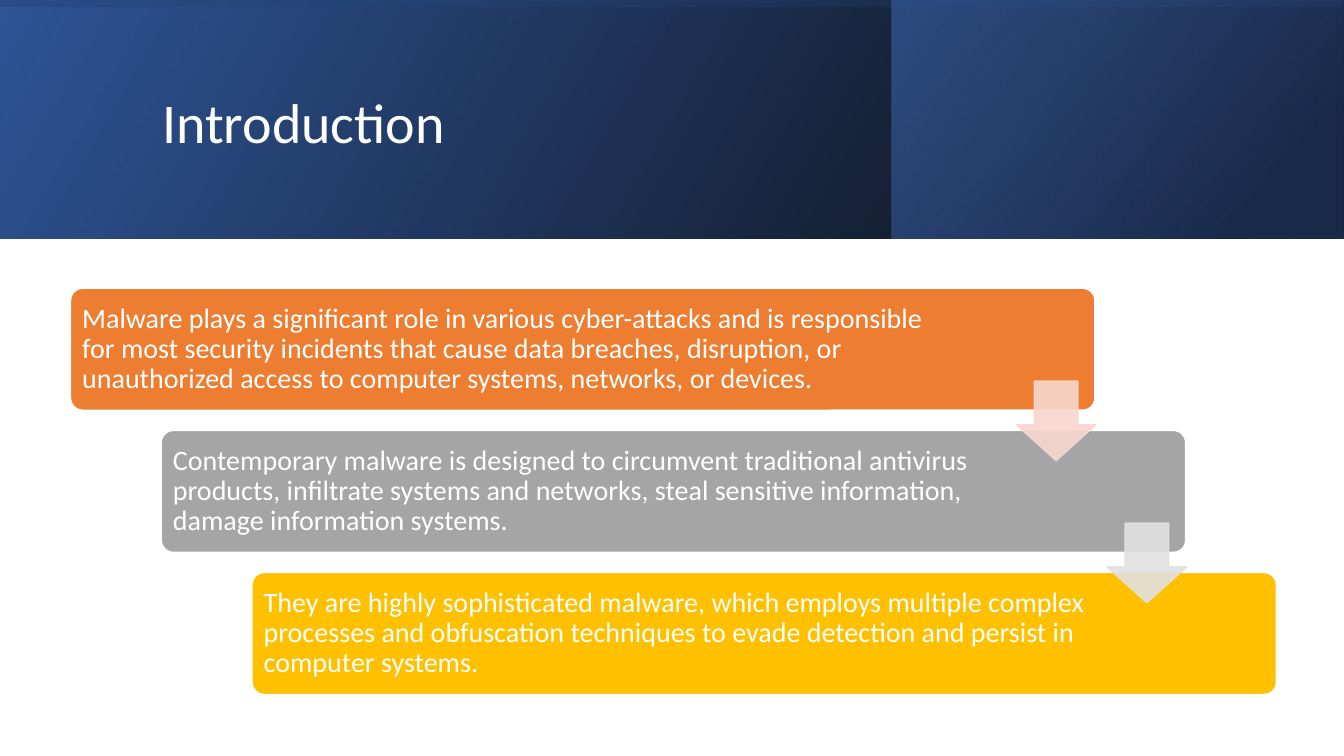
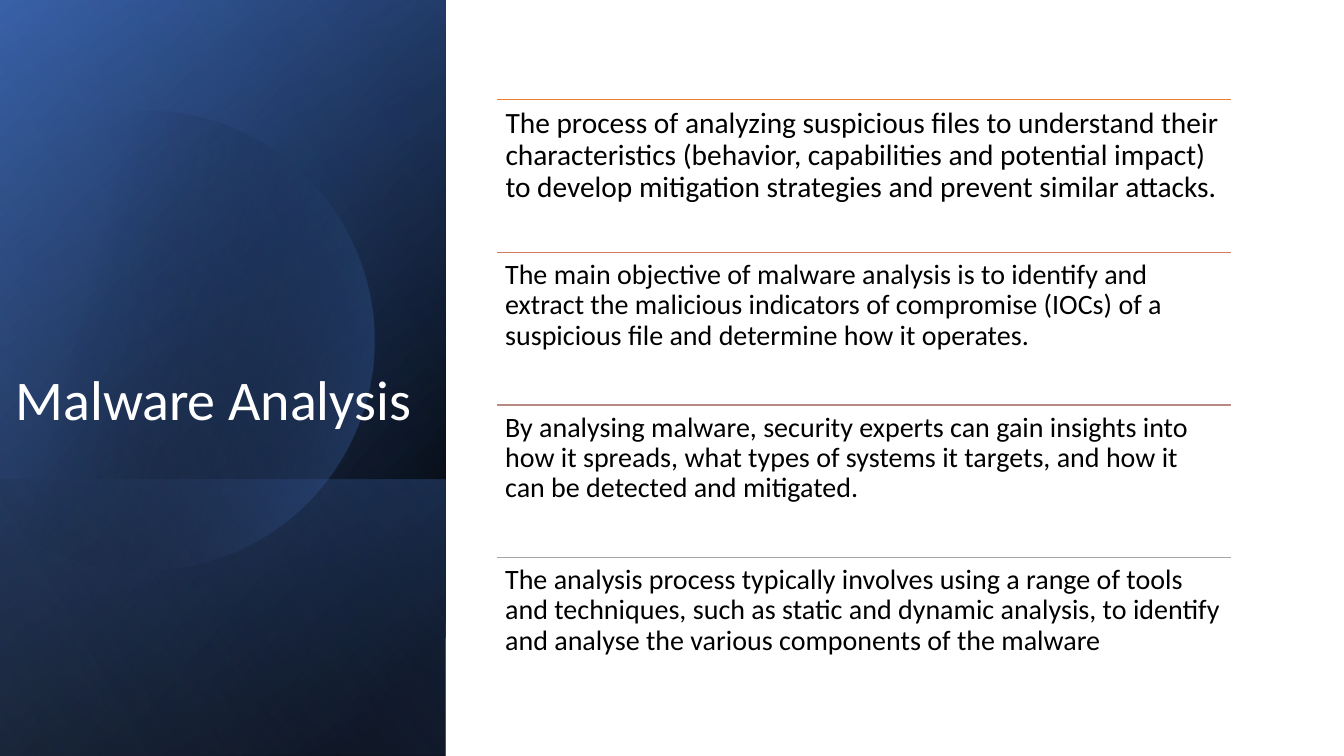
import math
import pptx
import pptx.util
import pptx.dml.color
import pptx.enum.shapes
import pptx.enum.text
import pptx.oxml
import pptx.oxml.ns

Inches = pptx.util.Inches
Pt = pptx.util.Pt
SHAPE = pptx.enum.shapes.MSO_SHAPE
ANCHOR = pptx.enum.text.MSO_ANCHOR
ALIGN = pptx.enum.text.PP_ALIGN
qn = pptx.oxml.ns.qn

FONT = "Calibri"
WHITE, BLACK = "FFFFFF", "000000"
BLUE, NAVY, DEEP, PALE = "4472C4", "2F5597", "203864", "8FAADC"
WIDE, HIGH = 13.33, 7.5
BAND = 2.37
SIDE = 4.42

# Fill, arrow colour, text
CARDS = [
    ("ED7D31", "F8D7CE",
     "Malware plays a significant role in various cyber-attacks and is "
     "responsible for most security incidents that cause data breaches, "
     "disruption, or unauthorized access to computer systems, networks, "
     "or devices."),
    ("A5A5A5", "E1E1E1",
     "Contemporary malware is designed to circumvent traditional antivirus "
     "products, infiltrate systems and networks, steal sensitive "
     "information, damage information systems."),
    ("FFC000", None,
     "They are highly sophisticated malware, which employs multiple complex "
     "processes and obfuscation techniques to evade detection and persist "
     "in computer systems."),
]

# Line colour, text size, text
POINTS = [
    ("ED7D31", 21,
     "The process of analyzing suspicious files to understand their "
     "characteristics (behavior, capabilities and potential impact) to "
     "develop mitigation strategies and prevent similar attacks."),
    ("D17B5C", 20,
     "The main objective of malware analysis is to identify and extract the "
     "malicious indicators of compromise (IOCs) of a suspicious file and "
     "determine how it operates."),
    ("B98A82", 20,
     "By analysing malware, security experts can gain insights into how it "
     "spreads, what types of systems it targets, and how it can be detected "
     "and mitigated."),
    ("A5A5A5", 20,
     "The analysis process typically involves using a range of tools and "
     "techniques, such as static and dynamic analysis, to identify and "
     "analyse the various components of the malware"),
]


def rgb(code):
    return pptx.dml.color.RGBColor.from_string(code)


def fade(shape, *alphas):
    """Set the opacity, in percent, of the shape's colours in order."""
    for tint, alpha in zip(shape.element.spPr.iter(qn("a:srgbClr")), alphas):
        node = pptx.oxml.parse_xml(
            f'<a:alpha {pptx.oxml.ns.nsdecls("a")} val="{alpha * 1000}"/>')
        tint.append(node)


def blend(shape, stops, angle):
    """Fill with (position, colour, opacity) stops at a clockwise angle."""
    shape.shadow.inherit = False
    shape.line.fill.background()
    shape.fill.gradient()
    shape.fill.gradient_angle = (360 - angle) % 360
    for stop, (place, code, _) in zip(shape.fill.gradient_stops, stops):
        stop.position = place / 100
        stop.color.rgb = rgb(code)
    fade(shape, *(alpha for _, _, alpha in stops))


def panel(slide, box, stops, angle, turn=0):
    """Draw a mirrored gradient rectangle that covers box after its turn."""
    left, top, width, height = box
    if turn:
        left += (width - height) / 2
        top += (height - width) / 2
        width, height = height, width
    shape = slide.shapes.add_shape(
        SHAPE.RECTANGLE, Inches(left), Inches(top),
        Inches(width), Inches(height))
    shape.rotation = turn
    shape.element.spPr.find(qn("a:xfrm")).set("flipH", "1")
    blend(shape, stops, angle)


def disc(slide):
    """Draw the circle that is cut off near the slide's left edge."""
    mid_x, mid_y, radius, edge = 1.43, 3.38, 2.28, -0.15
    reach = math.acos((edge - mid_x) / radius)
    count = 120
    turns = [reach * (2 * i / count - 1) for i in range(count + 1)]
    dots = [(Inches(mid_x + radius * math.cos(t)),
             Inches(mid_y + radius * math.sin(t))) for t in turns]
    form = slide.shapes.build_freeform(*dots[0])
    form.add_line_segments(dots[1:], close=True)
    blend(form.convert_to_shape(), [(29, BLACK, 0), (100, BLUE, 43)], 14)


def write(frame, text, size, code, pads, anchor=ANCHOR.TOP, align=ALIGN.LEFT):
    """Fill a text frame; pads are left, top, right and bottom insets."""
    frame.word_wrap = True
    frame.auto_size = pptx.enum.text.MSO_AUTO_SIZE.NONE
    frame.vertical_anchor = anchor
    (frame.margin_left, frame.margin_top,
     frame.margin_right, frame.margin_bottom) = map(Inches, pads)
    para = frame.paragraphs[0]
    para.alignment = align
    para.line_spacing = 0.9
    run = para.add_run()
    run.text = text
    run.font.name = FONT
    run.font.size = Pt(size)
    run.font.color.rgb = rgb(code)


def head(slide, text, box, **style):
    """Place the title in front of the panels."""
    title = slide.shapes.title
    title.left, title.top, title.width, title.height = map(Inches, box)
    write(title.text_frame, text, 40, WHITE, (0.1, 0.05, 0.19, 0.05), **style)
    title.element.getparent().append(title.element)


def block(slide, kind, box, code, edge, ratios):
    shape = slide.shapes.add_shape(kind, *map(Inches, box))
    shape.shadow.inherit = False
    for i, ratio in enumerate(ratios):
        shape.adjustments[i] = ratio
    shape.fill.solid()
    shape.fill.fore_color.rgb = rgb(code)
    shape.line.color.rgb = rgb(edge)
    shape.line.width = Pt(1)
    return shape


def rule(slide, left, right, top, code):
    line = slide.shapes.add_connector(
        pptx.enum.shapes.MSO_CONNECTOR.STRAIGHT,
        Inches(left), Inches(top), Inches(right), Inches(top))
    line.line.color.rgb = rgb(code)
    line.line.width = Pt(1)
    line.element.spPr.append(pptx.oxml.parse_xml(
        f'<a:effectLst {pptx.oxml.ns.nsdecls("a")}/>'))


def intro(slide):
    band = (0, 0, WIDE, BAND)
    panel(slide, band, [(0, BLACK, 96), (100, NAVY, 100)], 330)
    panel(slide, (8.84, 0, 4.48, BAND), [(19, DEEP, 68), (100, BLUE, 48)], 320)
    panel(slide, band, [(23, NAVY, 16), (99, BLACK, 45)], 350, 270)
    head(slide, "Introduction", (1.51, 0.38, 10.63, 1.72),
         anchor=ANCHOR.MIDDLE)
    step_x, step_y = 0.9, 1.41
    for i, (code, _, text) in enumerate(CARDS):
        box = (0.7 + i * step_x, 2.86 + i * step_y, 10.16, 1.21)
        card = block(slide, SHAPE.ROUNDED_RECTANGLE, box, code, WHITE, [0.1])
        write(card.text_frame, text, 20, WHITE, (0.08, 0.08, 1.6, 0.08),
              ANCHOR.MIDDLE)
    for i, (_, code, _) in enumerate(CARDS[:-1]):
        box = (10.08 + i * step_x, 3.78 + i * step_y, 0.79, 0.79)
        arrow = block(slide, SHAPE.DOWN_ARROW, box, code, code, [0.55, 0.45])
        fade(arrow, 90, 90)


def study(slide):
    side = (0, 0, SIDE, HIGH)
    panel(slide, side, [(8, BLACK, 100), (100, NAVY, 100)], 50, 90)
    panel(slide, side, [(0, BLACK, 0), (99, BLUE, 46)], 30, 90)
    panel(slide, (0, 4.76, SIDE, 2.74),
          [(2, BLUE, 29), (100, BLACK, 30)], 130, 90)
    disc(slide)
    panel(slide, side, [(0, BLACK, 0), (99, PALE, 11)], 120, 90)
    head(slide, "Malware Analysis", (0, 2.63, 4.27, 1.71),
         anchor=ANCHOR.BOTTOM, align=ALIGN.RIGHT)
    left, width, pitch = 4.93, 7.28, 4.54 / 3
    for i, (code, size, text) in enumerate(POINTS):
        top = 0.99 + i * pitch
        rule(slide, left, left + width, top, code)
        box = slide.shapes.add_textbox(
            Inches(left), Inches(top), Inches(width), Inches(pitch))
        write(box.text_frame, text, size, BLACK, [size / 250] * 4)


def main():
    deck = pptx.Presentation()
    deck.slide_width, deck.slide_height = Inches(WIDE), Inches(HIGH)
    for fill in (intro, study):
        fill(deck.slides.add_slide(deck.slide_layouts[5]))
    deck.save("out.pptx")


if __name__ == "__main__":
    main()
